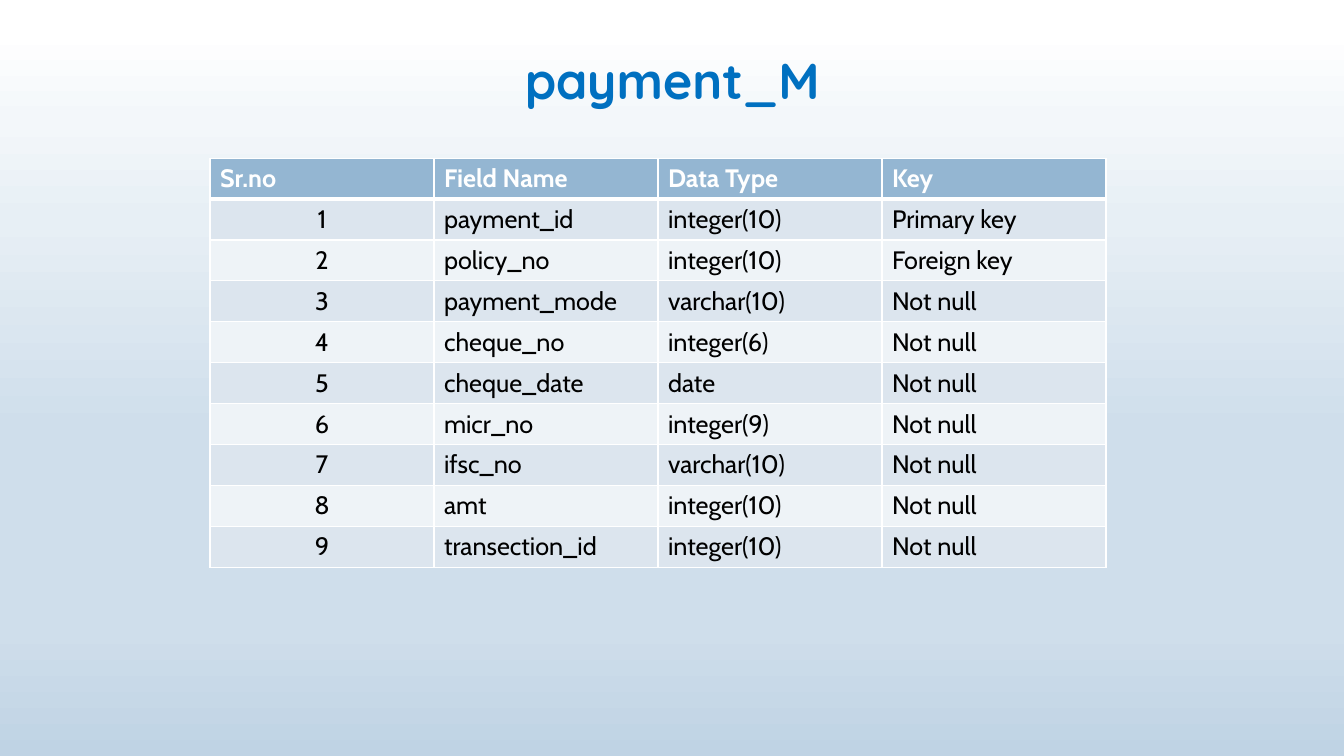
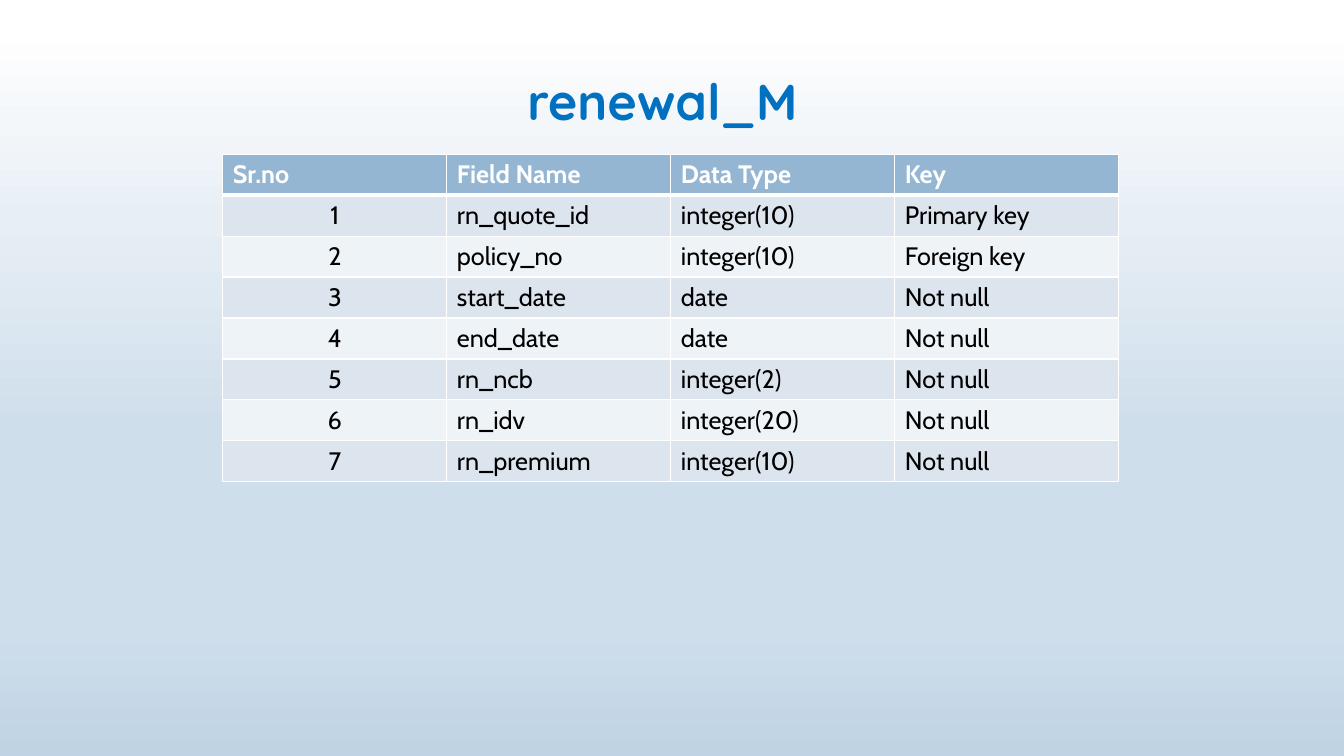
from lxml.etree import SubElement
from pptx import Presentation
from pptx.dml.color import RGBColor
from pptx.enum.text import MSO_ANCHOR as Anchor, MSO_AUTO_SIZE as AutoSize, PP_ALIGN as Align
from pptx.oxml.ns import qn
from pptx.util import Inches, Pt

# Shared style
WHITE = RGBColor(0xFF, 0xFF, 0xFF)
BLACK = RGBColor(0x00, 0x00, 0x00)
TITLE_BLUE = RGBColor(0x00, 0x70, 0xC0)
HEADER_BLUE = RGBColor(0x94, 0xB6, 0xD2)
BAND_DARK = RGBColor(0xDC, 0xE5, 0xEE)
BAND_LIGHT = RGBColor(0xEE, 0xF3, 0xF7)
SKY = RGBColor(0xCF, 0xDE, 0xEB)
BACKGROUND_STOPS = [
    (4, WHITE),
    (16, RGBColor(0xF3, 0xF7, 0xFA)),
    (29, RGBColor(0xE7, 0xEF, 0xF5)),
    (57, SKY),
    (83, SKY),
    (100, RGBColor(0xBF, 0xD3, 0xE4)),
]
TITLE_FONT, TABLE_FONT = "Quicksand", "Cabin"

# Grid of 24 columns and 24 rows
GRID = 24
TITLE_ROWS = 2.27
CELL_COLUMNS, CELL_ROWS = 4, 1.3

# Content
HEADINGS = ("Sr.no", "Field Name", "Data Type", "Key")
PAYMENT_FIELDS = [
    ("payment_id", "integer(10)", "Primary key"),
    ("policy_no", "integer(10)", "Foreign key"),
    ("payment_mode", "varchar(10)", "Not null"),
    ("cheque_no", "integer(6)", "Not null"),
    ("cheque_date", "date", "Not null"),
    ("micr_no", "integer(9)", "Not null"),
    ("ifsc_no", "varchar(10)", "Not null"),
    ("amt", "integer(10)", "Not null"),
    ("transection_id", "integer(10)", "Not null"),
]
RENEWAL_FIELDS = [
    ("rn_quote_id", "integer(10)", "Primary key"),
    ("policy_no", "integer(10)", "Foreign key"),
    ("start_date", "date", "Not null"),
    ("end_date", "date", "Not null"),
    ("rn_ncb", "integer(2)", "Not null"),
    ("rn_idv", "integer(20)", "Not null"),
    ("rn_premium", "integer(10)", "Not null"),
]


def write_text(frame, text, font=TABLE_FONT, size=18, color=BLACK, bold=False, align=Align.LEFT):
    paragraph = frame.paragraphs[0]
    paragraph.alignment = align
    run = paragraph.add_run()
    run.text = text
    run.font.name = font
    run.font.size = Pt(size)
    run.font.bold = bold
    run.font.color.rgb = color


def add_border(cell, side, width):
    line = SubElement(cell._tc.get_or_add_tcPr(), qn(f"a:ln{side}"), w=str(Pt(width)))
    fill = SubElement(line, qn("a:solidFill"))
    SubElement(fill, qn("a:srgbClr"), val=str(WHITE))


class Deck:
    def __init__(self):
        self.presentation = Presentation()
        self.presentation.slide_width = Inches(13.33)
        self.presentation.slide_height = Inches(7.5)
        self.slide = None
        self.paint_background()

    def paint_background(self):
        master = self.presentation.slide_master
        fill = master.background.fill
        fill.gradient()
        fill.gradient_angle = 270
        stops = master.element.cSld.find(".//" + qn("a:gsLst"))
        stops.clear()
        for percent, color in BACKGROUND_STOPS:
            stop = SubElement(stops, qn("a:gs"), pos=str(percent * 1000))
            SubElement(stop, qn("a:srgbClr"), val=str(color))

    def across(self, columns):
        return round(self.presentation.slide_width * columns / GRID)

    def down(self, rows):
        return round(self.presentation.slide_height * rows / GRID)

    def add_slide(self):
        title_only = self.presentation.slide_layouts[5]
        self.slide = self.presentation.slides.add_slide(title_only)

    def add_title(self, text, column, row, columns):
        title = self.slide.shapes.title
        title.left, title.top = self.across(column), self.down(row)
        title.width, title.height = self.across(columns), self.down(TITLE_ROWS)
        frame = title.text_frame
        frame.word_wrap = True
        frame.auto_size = AutoSize.NONE
        frame.vertical_anchor = Anchor.TOP
        write_text(frame, text, font=TITLE_FONT, size=36, color=TITLE_BLUE,
                   bold=True, align=Align.CENTER)

    def add_field_table(self, fields, column, row):
        records = [HEADINGS]
        records += [(str(number), *field) for number, field in enumerate(fields, 1)]
        table = self.slide.shapes.add_table(
            len(records), len(HEADINGS), self.across(column), self.down(row),
            self.across(CELL_COLUMNS * len(HEADINGS)),
            self.down(CELL_ROWS * len(records))).table
        for table_row in table.rows:
            table_row.height = self.down(CELL_ROWS)
        for row_index, record in enumerate(records):
            for column_index, text in enumerate(record):
                self.fill_cell(table.cell(row_index, column_index), text, row_index, column_index)

    def fill_cell(self, cell, text, row_index, column_index):
        header = row_index == 0
        # Borders: a thick rule between the header and the first field
        widths = {"L": 1, "R": 1, "T": 3 if row_index == 1 else 1, "B": 3 if header else 1}
        for side, width in widths.items():
            add_border(cell, side, width)
        # Fill: header colour, then alternating bands
        band = BAND_DARK if row_index % 2 else BAND_LIGHT
        cell.fill.solid()
        cell.fill.fore_color.rgb = HEADER_BLUE if header else band
        centered = column_index == 0 and not header
        write_text(cell.text_frame, text, bold=header, color=WHITE if header else BLACK,
                   align=Align.CENTER if centered else Align.LEFT)


def main():
    deck = Deck()

    # Payment table
    deck.add_slide()
    deck.add_title("payment_M", column=1.89, row=1.4, columns=20.23)
    deck.add_field_table(PAYMENT_FIELDS, column=3.75, row=5.02)

    # Renewal table
    deck.add_slide()
    deck.add_title("renewal_M", column=5.83, row=2.05, columns=12)
    deck.add_field_table(RENEWAL_FIELDS, column=3.98, row=4.9)

    deck.presentation.save("out.pptx")


if __name__ == "__main__":
    main()
